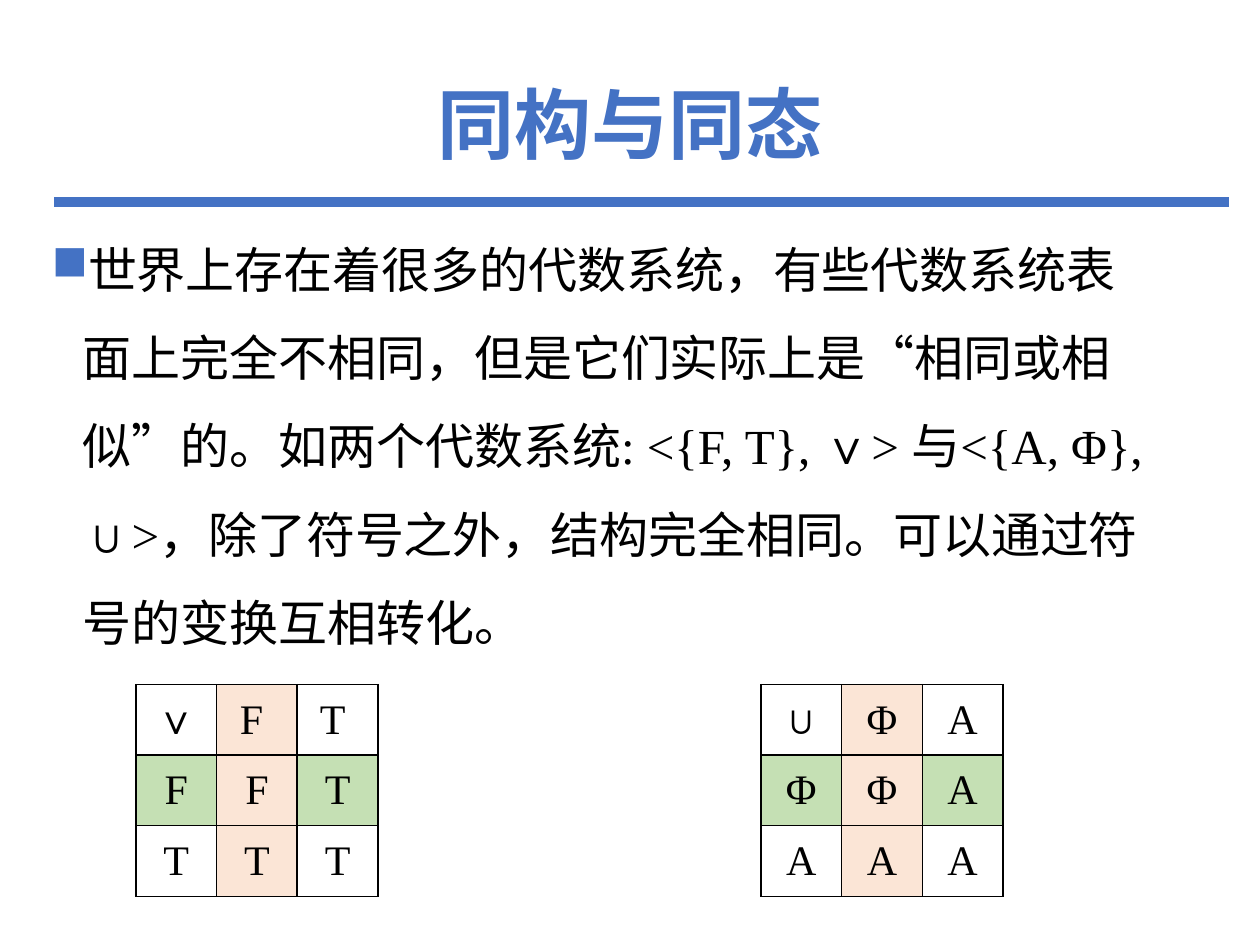
from lxml.etree import SubElement
from pptx import Presentation
from pptx.dml.color import RGBColor
from pptx.enum.shapes import MSO_CONNECTOR
from pptx.enum.text import MSO_ANCHOR, PP_ALIGN
from pptx.oxml.ns import qn
from pptx.util import Cm, Pt

BLUE = RGBColor(0x44, 0x72, 0xC4)
BLACK = RGBColor(0, 0, 0)
PEACH = RGBColor(0xFB, 0xE5, 0xD6)
GREEN = RGBColor(0xC5, 0xE0, 0xB4)
LATIN, CHINESE = "Times New Roman", "Noto Sans CJK SC"

BODY = (
    "世界上存在着很多的代数系统，有些代数系统表面上完全不相同，"
    "但是它们实际上是“相同或相似”的。如两个代数系统: <{F, T}, ∨> 与<{A, Φ}, ∪>，"
    "除了符号之外，结构完全相同。可以通过符号的变换互相转化。"
)
OR_TABLE = [["∨", "F ", "T "], ["F", "F", "T"], ["T", "T", "T"]]
UNION_TABLE = [["∪", "Φ", "A"], ["Φ", "Φ", "A"], ["A", "A", "A"]]


def style(para, size, color, latin=LATIN, bold=False):
    """Set the Latin and Chinese fonts, size and colour of a paragraph."""
    font = para.font
    font.name, font.size, font.bold = latin, Pt(size), bold
    font.color.rgb = color
    defaults = para._p.pPr.find(qn("a:defRPr"))
    SubElement(defaults, qn("a:ea"), typeface=CHINESE)


def add_heading(page, left, top, width, height):
    """Place the title and the rule beneath it."""
    title = page.shapes.title
    title.left, title.top = Cm(left), Cm(top)
    title.width, title.height = Cm(width), Cm(height)
    frame = title.text_frame
    frame.text = "同构与同态"
    frame.vertical_anchor = MSO_ANCHOR.MIDDLE
    para = frame.paragraphs[0]
    para.alignment = PP_ALIGN.CENTER
    para.line_spacing = 0.9
    style(para, 44, BLUE, CHINESE, True)

    rule_y = Cm(top + height - 0.1)
    rule = page.shapes.add_connector(
        MSO_CONNECTOR.STRAIGHT, Cm(left - 0.66), rule_y, Cm(left + width + 1.12), rule_y
    )
    rule.line.color.rgb = BLUE
    rule.line.width = Pt(6)
    SubElement(rule._element.spPr, qn("a:effectLst"))


def add_body(page, left, top, width, height):
    """Place the bulleted explanation."""
    box = page.shapes.add_textbox(Cm(left), Cm(top), Cm(width), Cm(height))
    frame = box.text_frame
    frame.word_wrap = True
    para = frame.paragraphs[0]
    para.text = BODY
    para.line_spacing = 1.5
    props = para._p.get_or_add_pPr()
    indent = Cm(0.63)
    props.set("marL", str(indent))
    props.set("indent", str(-indent))
    bullet_color = SubElement(props, qn("a:buClr"))
    SubElement(bullet_color, qn("a:srgbClr"), val=str(BLUE))
    SubElement(props, qn("a:buChar"), char="■")
    style(para, 28, BLACK)


def add_borders(cell):
    """Draw a thin black line on each side of a cell."""
    props = cell._tc.get_or_add_tcPr()
    for side in ("lnL", "lnR", "lnT", "lnB"):
        line = SubElement(props, qn(f"a:{side}"), w=str(Pt(1)))
        fill = SubElement(line, qn("a:solidFill"))
        SubElement(fill, qn("a:srgbClr"), val=str(BLACK))


def add_operation_table(page, left, top, width, height, rows):
    """Place an operation table with its middle row and column shaded."""
    count = len(rows)
    table = page.shapes.add_table(
        count, count, Cm(left), Cm(top), Cm(width), Cm(height)
    ).table
    for r, row in enumerate(rows):
        for c, symbol in enumerate(row):
            cell = table.cell(r, c)
            cell.text = symbol
            cell.vertical_anchor = MSO_ANCHOR.MIDDLE
            add_borders(cell)
            if 1 in (r, c):
                cell.fill.solid()
                cell.fill.fore_color.rgb = PEACH if c == 1 else GREEN
            else:
                cell.fill.background()
            para = cell.text_frame.paragraphs[0]
            para.alignment = PP_ALIGN.CENTER
            style(para, 24, BLACK)


def main():
    """Build the slide and save the deck."""
    deck = Presentation()
    deck.slide_width, deck.slide_height = Cm(25.4), Cm(19.05)
    page = deck.slides.add_slide(deck.slide_layouts[5])
    add_heading(page, 1.75, 1.02, 21.9, 3.15)
    add_body(page, 0.79, 4.11, 22.86, 9.5)
    for left, rows in ((2.74, OR_TABLE), (15.34, UNION_TABLE)):
        add_operation_table(page, left, 13.8, 4.88, 4.27, rows)
    deck.save("out.pptx")


if __name__ == "__main__":
    main()
